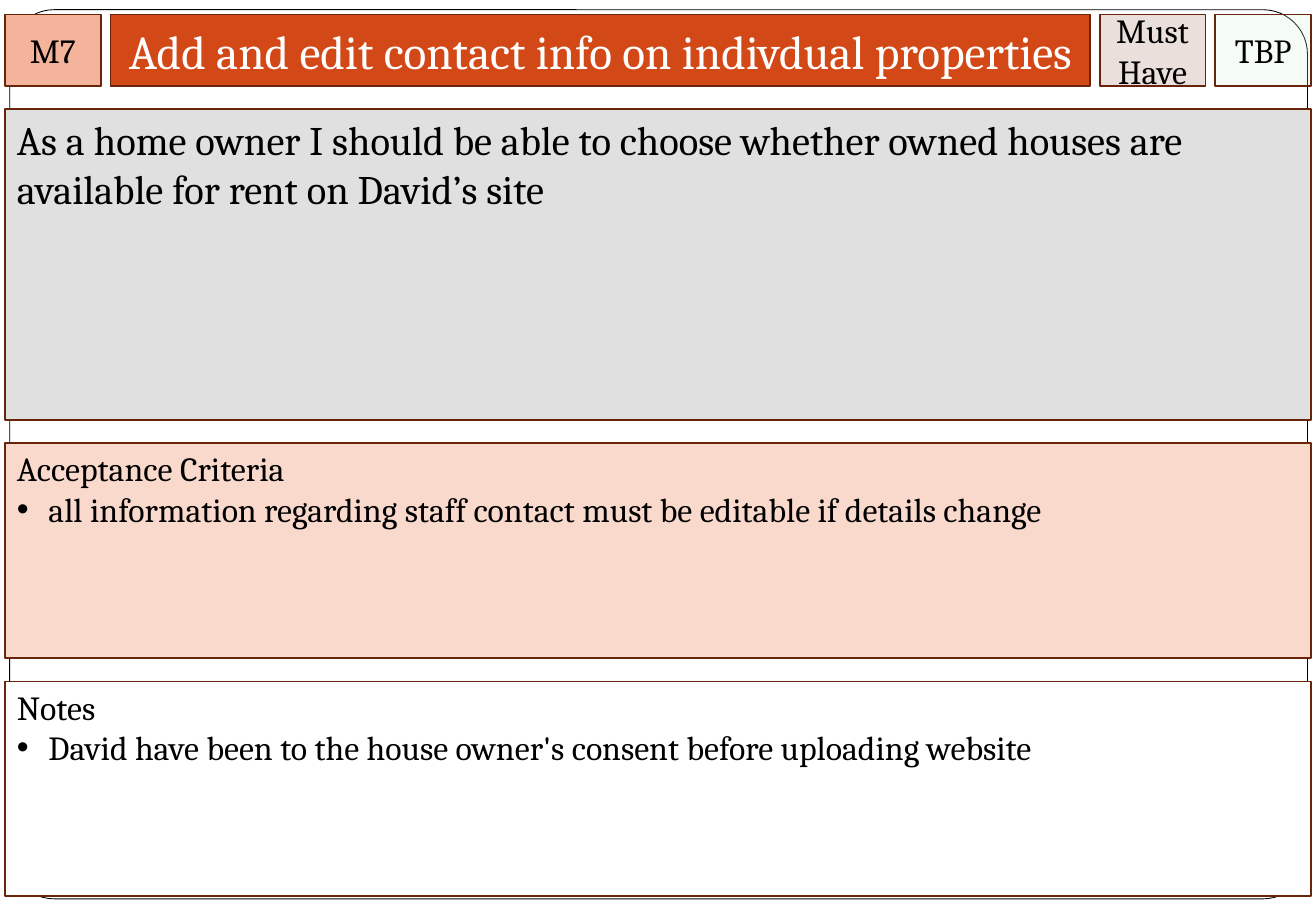
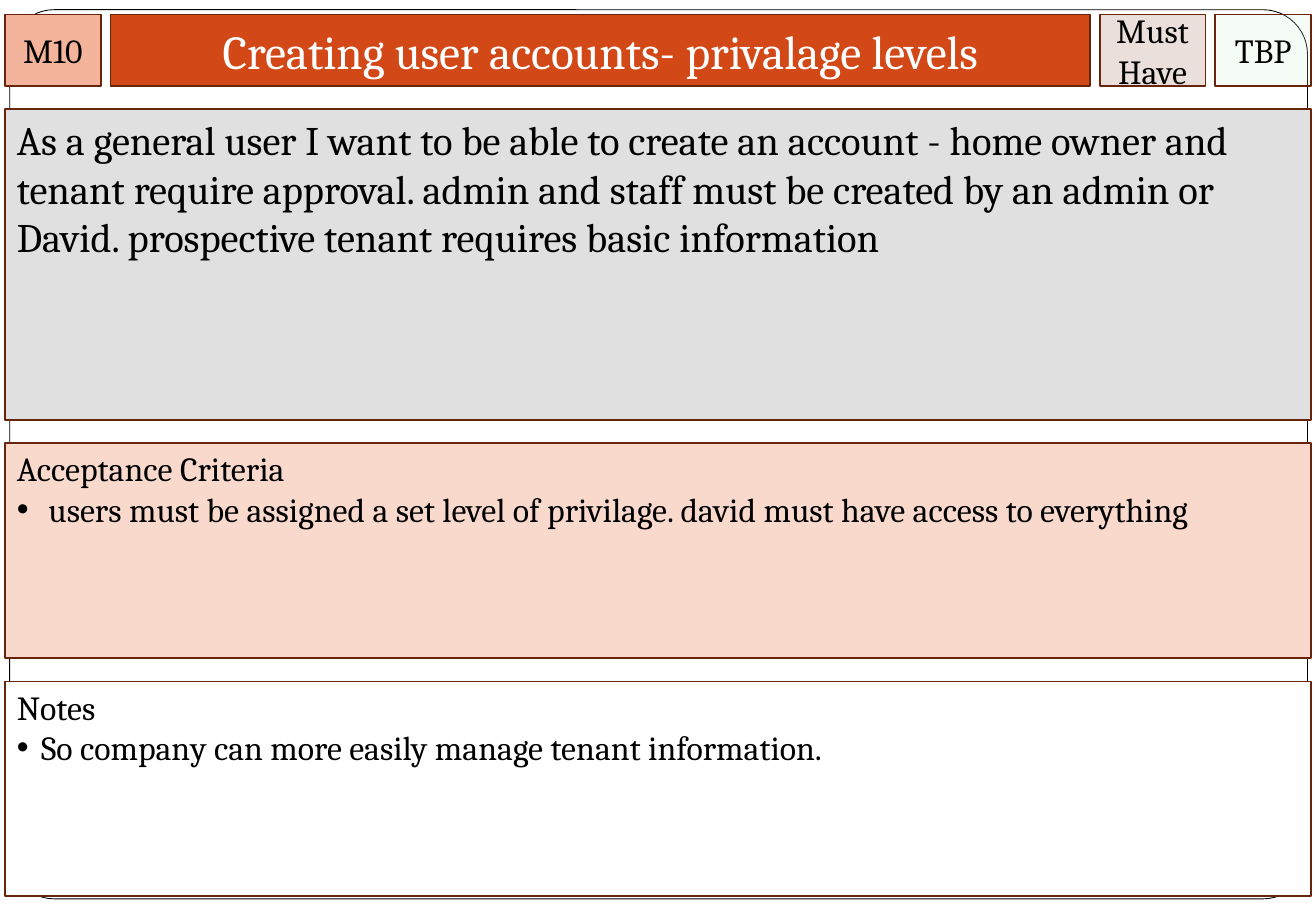
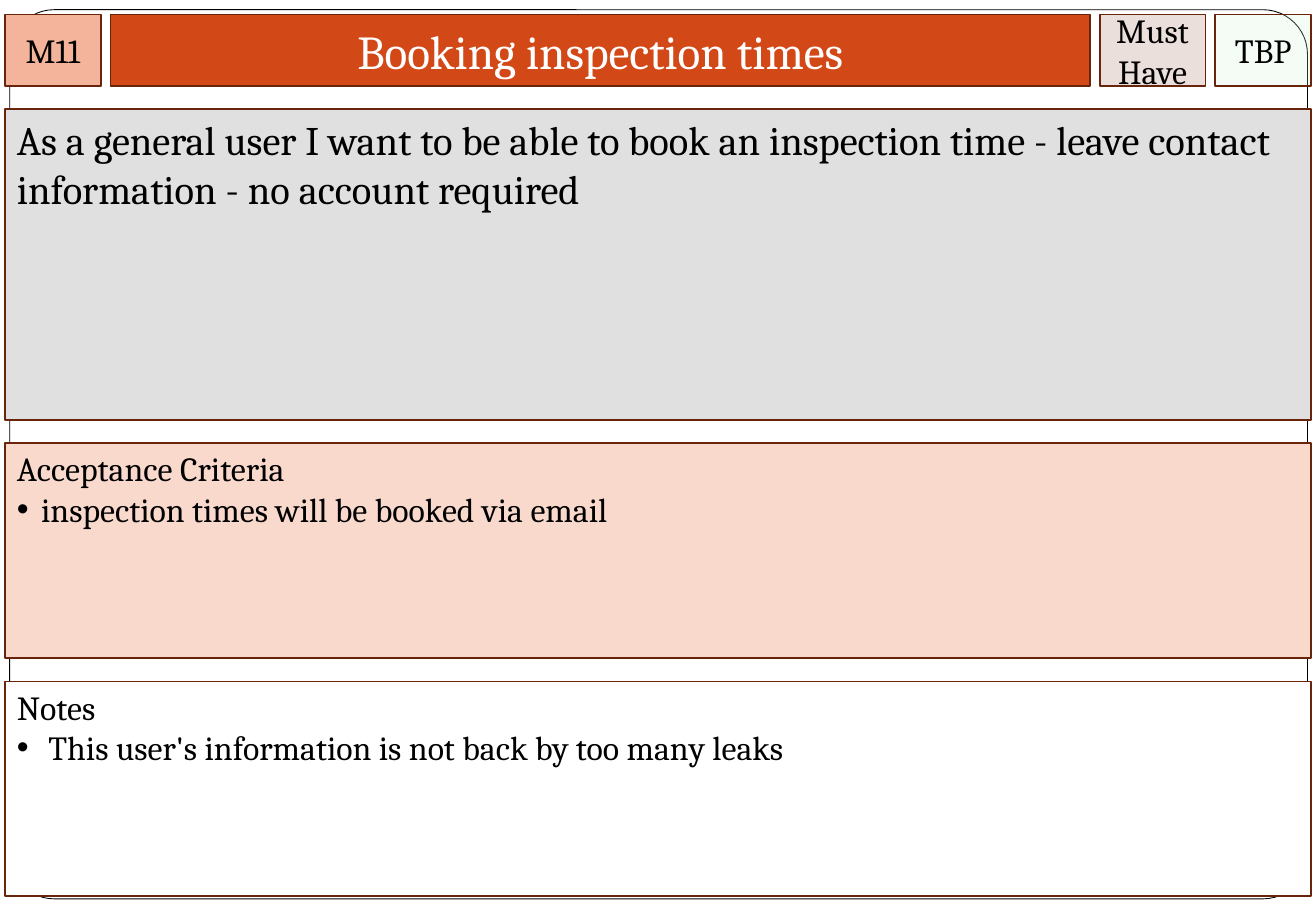
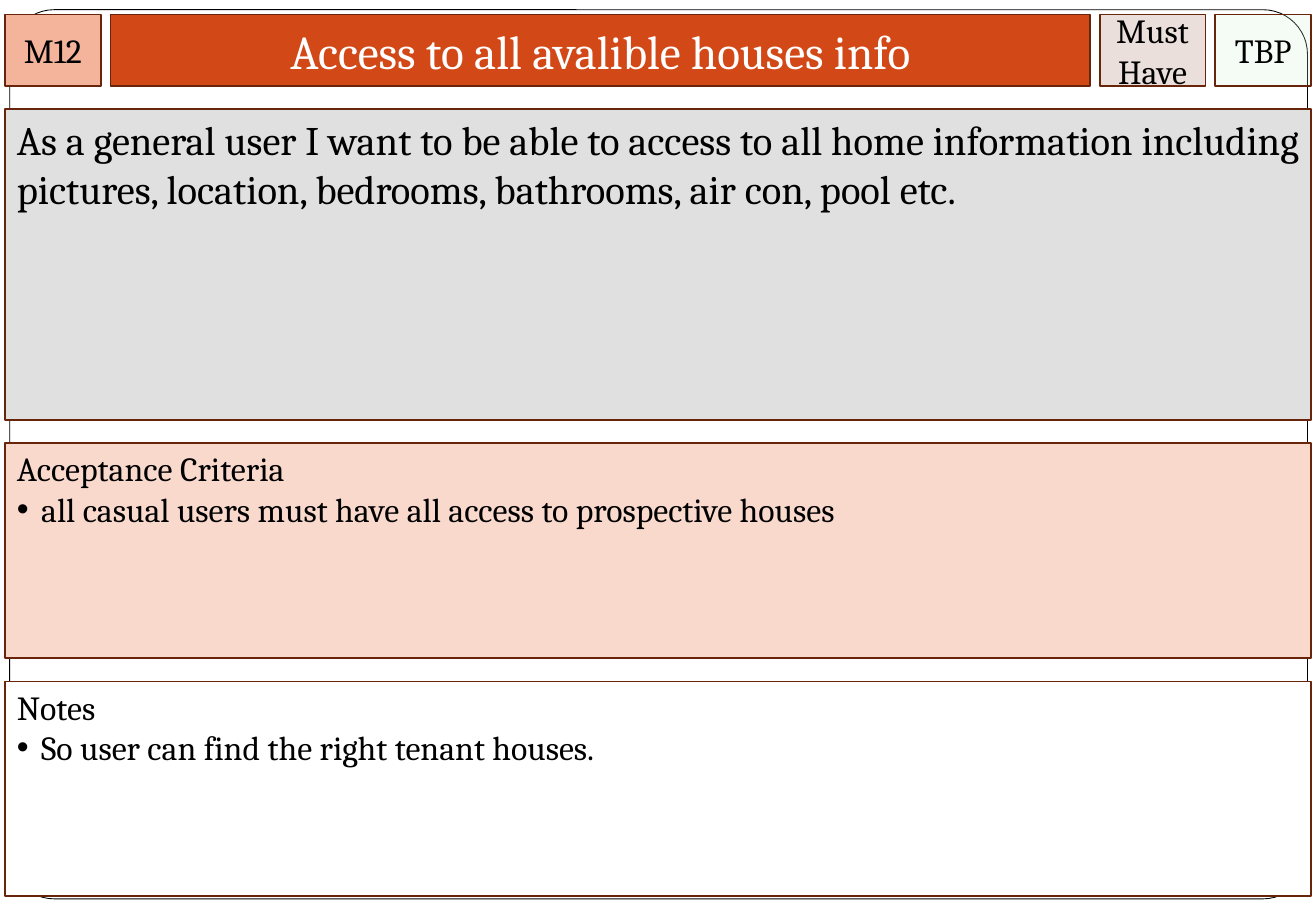
from dataclasses import dataclass

from lxml import etree
from pptx import Presentation
from pptx import util as u
from pptx.dml import color
from pptx.enum import shapes, text
from pptx.oxml import ns

COLORS = {
    "white": "FFFFFF",
    "black": "000000",
    "border": "69240C",
    "title": "D34817",
    "number": "F4B39B",
    "priority": "EBDFDB",
    "status": "CCF0CD",
    "story": "E1E0E0",
    "criteria": "FAD9CD",
}
FONT = "Cambria"
CENTER = text.PP_ALIGN.CENTER
LEFT = text.PP_ALIGN.LEFT
MIDDLE = text.MSO_ANCHOR.MIDDLE
TOP = text.MSO_ANCHOR.TOP
BADGE_INSETS = (0, 0.05, 0, 0.05)
PANEL_INSETS = (0.1, 0.04, 0.1, 0.05)
NARROW, WIDE = 0.2, 0.26
BULLET_HANG = 0.2


@dataclass
class Bullet:
    """One bullet and the distance from the panel edge to its words."""
    words: str
    indent: float = NARROW


@dataclass
class Story:
    """The wording of one user story card."""
    number: str
    title: str
    description: str
    criterion: Bullet
    note: Bullet


STORIES = [
    Story("M7", "Add and edit contact info on indivdual properties",
          "As a home owner I should be able to choose whether owned houses are "
          "available for rent on David\u2019s site",
          Bullet("all information regarding staff contact must be editable if "
                 "details change", WIDE),
          Bullet("David have been to the house owner's consent before uploading "
                 "website", WIDE)),
    Story("M10", "Creating user accounts- privalage levels",
          "As a general user I want to be able to create an account - home owner "
          "and tenant require approval. admin and staff must be created by an "
          "admin or David. prospective tenant requires basic information",
          Bullet("users must be assigned a set level of privilage. david must "
                 "have access to everything", WIDE),
          Bullet("So company can more easily manage tenant information.")),
    Story("M11", "Booking inspection times",
          "As a general user I want to be able to book an inspection time - "
          "leave contact information - no account required",
          Bullet("inspection times will be booked via email"),
          Bullet("This user's information is not back by too many leaks", WIDE)),
    Story("M12", "Access to all avalible houses info",
          "As a general user I want to be able to access to all home information "
          "including pictures, location, bedrooms, bathrooms, air con, pool etc.",
          Bullet("all casual users must have all access to prospective houses"),
          Bullet("So user can find the right tenant houses.")),
]


def rgb(name):
    """Return the named palette colour."""
    return color.RGBColor.from_string(COLORS[name])


def place(shape, box):
    """Move a shape to a left, top, width, height box in inches."""
    shape.left, shape.top, shape.width, shape.height = map(u.Inches, box)


def paint(shape, fill, line="border", weight=1):
    """Set the fill and outline of a shape."""
    shape.fill.solid()
    shape.fill.fore_color.rgb = rgb(fill)
    shape.line.color.rgb = rgb(line)
    shape.line.width = u.Pt(weight)


def write(shape, lines, size, font_color="black", align=LEFT, anchor=TOP,
          insets=(0.1, 0.05, 0.1, 0.05), wrap=True):
    """Fill a shape with one paragraph per line and format it."""
    frame = shape.text_frame
    frame.text = "\n".join(lines)
    frame.auto_size = text.MSO_AUTO_SIZE.NONE
    frame.word_wrap = wrap
    frame.vertical_anchor = anchor
    (frame.margin_left, frame.margin_top,
     frame.margin_right, frame.margin_bottom) = map(u.Inches, insets)
    for paragraph in frame.paragraphs:
        paragraph.alignment = align
        for run in paragraph.runs:
            run.font.name = FONT
            run.font.size = u.Pt(size)
            run.font.color.rgb = rgb(font_color)


def add_box(slide, box, fill):
    """Add an outlined rectangle."""
    shape = slide.shapes.add_shape(shapes.MSO_SHAPE.RECTANGLE,
                                   *map(u.Inches, box))
    shape.shadow.inherit = False
    paint(shape, fill)
    return shape


def set_opacity(shape, percent):
    """Make the solid fill of a shape partly transparent."""
    for fill_color in shape.element.spPr.find(ns.qn("a:solidFill")):
        etree.SubElement(fill_color, ns.qn("a:alpha"), val=str(percent * 1000))


def set_bullet(paragraph, indent):
    """Give a paragraph a hanging round bullet."""
    properties = paragraph._p.get_or_add_pPr()
    properties.set("marL", str(u.Inches(indent)))
    properties.set("indent", str(-u.Inches(indent)))
    font = etree.SubElement(properties, ns.qn("a:buFont"))
    font.set("typeface", "Arial")
    etree.SubElement(properties, ns.qn("a:buChar"), char="\u2022")


def add_layout_frame(slide, box):
    """Put the rounded card outline on the layout behind the slide."""
    frame = slide.shapes.add_shape(shapes.MSO_SHAPE.ROUNDED_RECTANGLE,
                                   *map(u.Inches, box))
    frame.shadow.inherit = False
    frame.adjustments[0] = 0.05
    paint(frame, "white", "black", 0.5)
    frame.element.nvSpPr.cNvPr.set("id", "20")
    slide.slide_layout.shapes.element.insert(2, frame.element)


def add_badge(slide, box, fill, lines, wrap=True):
    """Add a small centred label box."""
    badge = add_box(slide, box, fill)
    write(badge, lines, 20, align=CENTER, anchor=MIDDLE,
          insets=BADGE_INSETS, wrap=wrap)
    return badge


def add_header(slide, box, story):
    """Lay out number, title, priority and status from left to right."""
    left, top, width, height = box
    gap, end_width, priority_width = 0.08, 0.79, 0.87
    title_left = left + end_width + gap
    status_left = left + width - end_width
    priority_left = status_left - gap - priority_width

    add_badge(slide, (left, top, end_width, height), "number", [story.number])
    title = slide.shapes.title
    place(title, (title_left, top, priority_left - gap - title_left, height))
    paint(title, "title")
    write(title, [story.title], 28, "white", CENTER, MIDDLE)
    add_badge(slide, (priority_left, top, priority_width, height), "priority",
              ["Must", "Have"], wrap=False)
    status = add_badge(slide, (status_left, top, end_width, height), "status",
                       ["TBP"])
    set_opacity(status, 20)


def add_description(slide, box, description):
    """Add the panel that tells the story."""
    write(add_box(slide, box, "story"), [description], 24)


def add_panel(slide, box, fill, heading, bullet):
    """Add a panel with a heading and one bullet."""
    panel = add_box(slide, box, fill)
    write(panel, [heading, bullet.words], 20, insets=PANEL_INSETS)
    set_bullet(panel.text_frame.paragraphs[1], bullet.indent)


def add_card(slide, box, story):
    """Stack the header and the three panels of a story card."""
    left, top, width, height = box
    gap, header_height, panel_height = 0.19, 0.59, 1.77
    description_top = top + header_height + gap
    notes_top = top + height - panel_height
    criteria_top = notes_top - gap - panel_height

    add_header(slide, (left, top, width, header_height), story)
    add_description(slide, (left, description_top, width,
                            criteria_top - gap - description_top),
                    story.description)
    add_panel(slide, (left, criteria_top, width, panel_height), "criteria",
              "Acceptance Criteria", story.criterion)
    add_panel(slide, (left, notes_top, width, panel_height), "white",
              "Notes", story.note)


def main():
    """Build one card slide per story and save the presentation."""
    presentation = Presentation()
    presentation.slide_width = u.Inches(10.83)
    presentation.slide_height = u.Inches(7.5)
    title_only = presentation.slide_layouts[5]
    for index, story in enumerate(STORIES):
        slide = presentation.slides.add_slide(title_only)
        if index == 0:
            add_layout_frame(slide, (0.08, 0.08, 10.68, 7.32))
        add_card(slide, (0.04, 0.12, 10.75, 7.26), story)
    presentation.save("out.pptx")


main()
